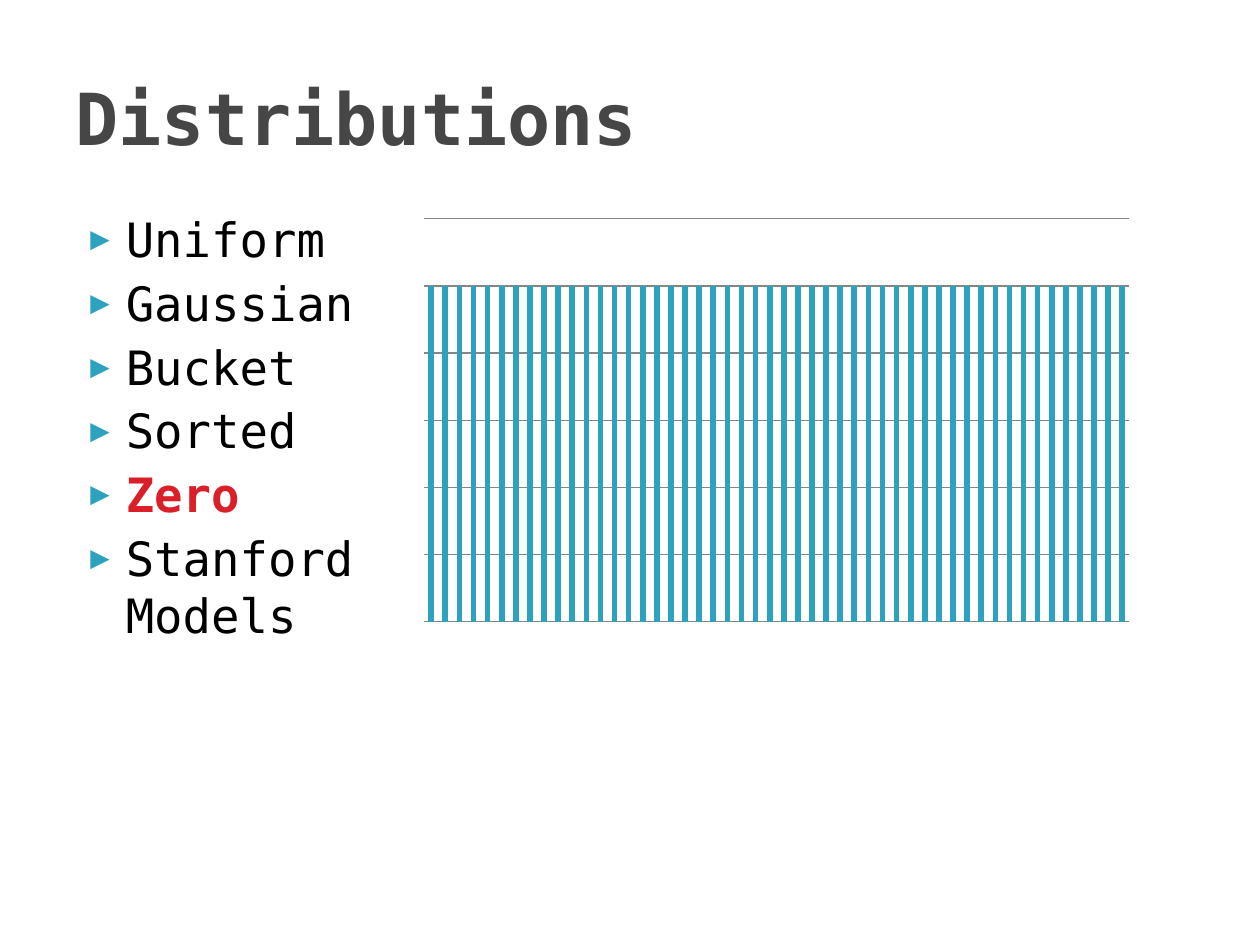
from lxml.etree import SubElement
from pptx import Presentation
from pptx.chart.data import CategoryChartData
from pptx.dml.color import RGBColor
from pptx.enum.chart import XL_CHART_TYPE
from pptx.enum.text import MSO_ANCHOR, PP_ALIGN
from pptx.oxml.ns import qn
from pptx.util import Inches, Pt

TITLE = "Distributions"
# Each item is a tuple of lines
ITEMS = [("Uniform",), ("Gaussian",), ("Bucket",), ("Sorted",), ("Zero",),
         ("Stanford", "Models")]
CURRENT = "Zero"
BAR_COUNT, BAR_VALUE = 50, 100

FONT = "DejaVu Sans Mono"
COLORS = {"title": "464646", "text": "000000", "accent": "2DA2BF",
          "current": "DA1F28", "grid": "868686"}


def color(name):
    return RGBColor.from_string(COLORS[name])


def style(font, size, name, bold=False):
    font.name, font.size, font.bold = FONT, Pt(size), bold
    font.color.rgb = color(name)


def add_bullet(para):
    properties = para._p.get_or_add_pPr()
    properties.set("marL", str(Inches(0.4)))
    properties.set("indent", str(Inches(-0.28)))
    bullet_color = SubElement(properties, qn("a:buClr"))
    SubElement(bullet_color, qn("a:srgbClr"), val=COLORS["accent"])
    SubElement(properties, qn("a:buSzPct"), val="68000")
    SubElement(properties, qn("a:buFont"), typeface=FONT)
    SubElement(properties, qn("a:buChar"), char="▶")


deck = Presentation()
deck.slide_width, deck.slide_height = Inches(10), Inches(7.5)
page = deck.slides.add_slide(deck.slide_layouts[5])

# Title
title = page.shapes.title
title.left, title.top = Inches(0.5), Inches(0.3)
title.width, title.height = Inches(9), Inches(1.25)
title.text_frame.vertical_anchor = MSO_ANCHOR.MIDDLE
para = title.text_frame.paragraphs[0]
para.alignment = PP_ALIGN.LEFT
span = para.add_run()
span.text = TITLE
style(span.font, 41, "title", True)

# Bulleted list
box = page.shapes.add_textbox(Inches(0.5), Inches(1.62), Inches(9), Inches(4.95))
frame = box.text_frame
frame.word_wrap = True
for index, lines in enumerate(ITEMS):
    para = frame.add_paragraph() if index else frame.paragraphs[0]
    add_bullet(para)
    if index:
        para.space_before = Pt(4)
    for number, line in enumerate(lines):
        if number:
            para.add_line_break()
        span = para.add_run()
        span.text = line
        current = line == CURRENT
        style(span.font, 27, "current" if current else "text", current)

# Column chart
data = CategoryChartData()
data.categories = [str(number + 1) for number in range(BAR_COUNT)]
data.add_series("Series 1", [BAR_VALUE] * BAR_COUNT)
chart = page.shapes.add_chart(
    XL_CHART_TYPE.COLUMN_CLUSTERED, Inches(3.25), Inches(1.67),
    Inches(5.83), Inches(3.33), data).chart
style(chart.font, 10, "text")
chart.has_legend = chart.has_title = False
plot = chart.plots[0]
plot.gap_width, plot.vary_by_categories = 150, False
fill = plot.series[0].format.fill
fill.solid()
fill.fore_color.rgb = color("accent")

axis = chart.value_axis
axis.minimum_scale, axis.maximum_scale, axis.major_unit = 0, 120, 20
axis.has_major_gridlines = True
grid = axis.major_gridlines.format.line
grid.color.rgb, grid.width = color("grid"), Pt(0.75)
axis.visible = chart.category_axis.visible = False

deck.save("out.pptx")
